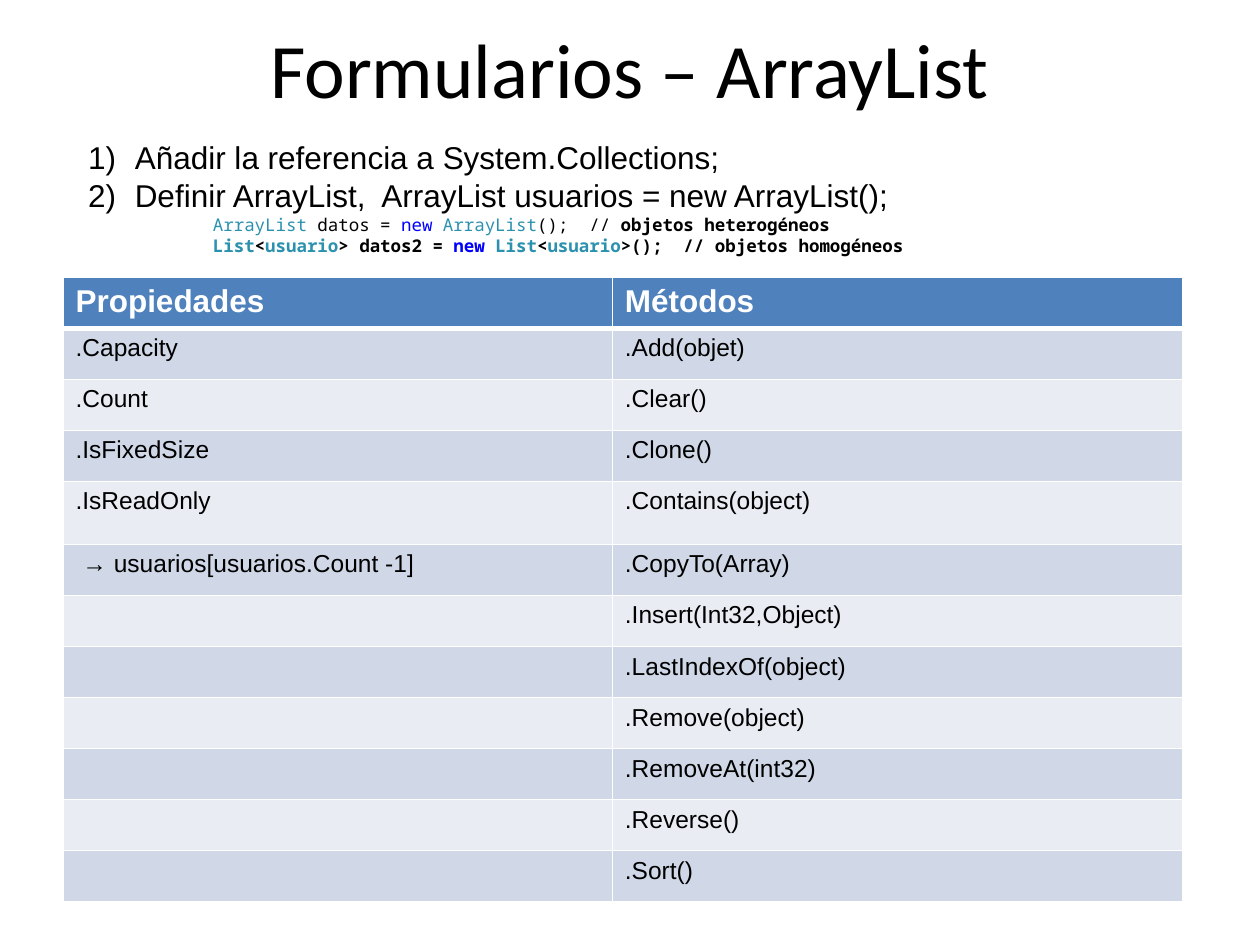
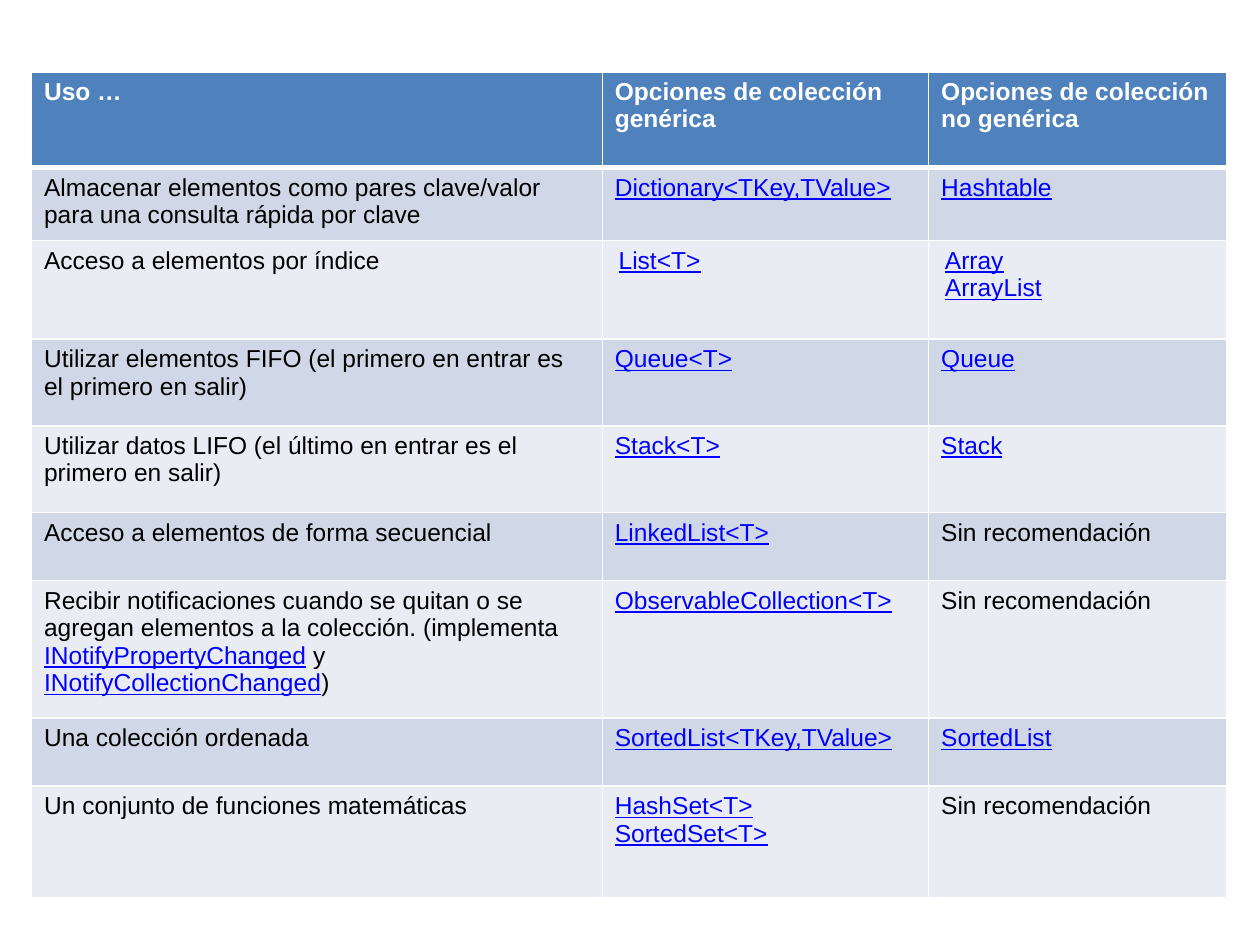
"""Builds two slides about ArrayList and the choice of collections."""
from dataclasses import dataclass
from typing import NamedTuple

from lxml import etree
from pptx import Presentation
from pptx.dml.color import RGBColor
from pptx.enum import text
from pptx.oxml import ns
from pptx.util import Inches, Pt

BLACK = RGBColor(0x00, 0x00, 0x00)
WHITE = RGBColor(0xFF, 0xFF, 0xFF)
HEADER_BLUE = RGBColor(0x4F, 0x81, 0xBD)
BAND_DARK = RGBColor(0xD0, 0xD8, 0xE7)
BAND_LIGHT = RGBColor(0xE9, 0xEC, 0xF3)
KEYWORD_BLUE = RGBColor(0x00, 0x00, 0xFF)
TYPE_TEAL = RGBColor(0x2B, 0x91, 0xAF)

BODY_FONT, TITLE_FONT, CODE_FONT = "Arial", "Calibri", "Noto Sans Mono"
THIN, THICK = Pt(0.96), Pt(3)


class Span(NamedTuple):
    """A piece of text with its own format values."""
    text: str
    fmt: dict = {}


def link(label: str) -> Span:
    """Return a span that looks like a link."""
    return Span(label, {"color": KEYWORD_BLUE, "underline": True})


def code(label: str, color: RGBColor = BLACK, bold: bool = False) -> Span:
    """Return a span of source code."""
    return Span(label, {"name": CODE_FONT, "size": Pt(10), "color": color, "bold": bold})


@dataclass
class Cell:
    """Lines of spans in a table cell, with its side margin."""
    lines: list
    margin: float = 0.1


@dataclass
class Grid:
    """Place, track sizes and contents of a banded table."""
    left: float
    top: float
    widths: list
    heights: list
    rows: list
    header_size: int


def add_spans(p, spans: list, base: dict) -> None:
    """Add spans to a paragraph over a base format."""
    for span in spans:
        span = Span(span) if isinstance(span, str) else span
        r = p.add_run()
        r.text = span.text
        for key, value in {**base, **span.fmt}.items():
            if key == "color":
                r.font.color.rgb = value
            else:
                setattr(r.font, key, value)


def add_text_frame(slide, left: float, top: float, width: float, height: float):
    """Add a wrapping text box without margins and return its frame."""
    sp = slide.shapes.add_textbox(*map(Inches, (left, top, width, height)))
    tf = sp.text_frame
    fmt = {"word_wrap": True, "margin_left": 0, "margin_top": 0,
           "margin_right": 0, "margin_bottom": 0}
    for key, value in fmt.items():
        setattr(tf, key, value)
    return tf


def set_indent(p, left: float, first: float = 0, numbered: bool = False) -> None:
    """Set paragraph indents and optional automatic numbering."""
    pPr = p._p.get_or_add_pPr()
    pPr.set("marL", str(Inches(left)))
    pPr.set("indent", str(Inches(first)))
    if numbered:
        etree.SubElement(pPr, ns.qn("a:buAutoNum"), type="arabicParenR")


def set_borders(cell, top: int, bottom: int) -> None:
    """Draw the white borders of a cell."""
    tcPr = cell._tc.get_or_add_tcPr()
    sides = {"lnL": THIN, "lnR": THIN, "lnT": top, "lnB": bottom}
    for side, width in sides.items():
        ln = etree.SubElement(tcPr, ns.qn(f"a:{side}"), w=str(width))
        fill = etree.SubElement(ln, ns.qn("a:solidFill"))
        etree.SubElement(fill, ns.qn("a:srgbClr"), val=str(WHITE))


def as_cell(content) -> Cell:
    """Return content as a cell of one line unless it is a cell already."""
    return content if isinstance(content, Cell) else Cell([[content]] if content else [])


def add_grid(slide, grid: Grid) -> None:
    """Draw a table with a header row and alternating bands."""
    frame = slide.shapes.add_table(
        len(grid.rows), len(grid.widths), Inches(grid.left), Inches(grid.top),
        Inches(sum(grid.widths)), Inches(sum(grid.heights)))
    table = frame.table
    for column, width in zip(table.columns, grid.widths):
        column.width = Inches(width)
    for row, height in zip(table.rows, grid.heights):
        row.height = Inches(height)
    for i, contents in enumerate(grid.rows):
        header = i == 0
        base = {"name": BODY_FONT, "size": Pt(grid.header_size if header else 14),
                "color": WHITE if header else BLACK, "bold": header}
        band = HEADER_BLUE if header else BAND_DARK if i % 2 else BAND_LIGHT
        for j, content in enumerate(contents):
            spec_cell, cell = as_cell(content), table.cell(i, j)
            set_borders(cell, THICK if i == 1 else THIN, THICK if header else THIN)
            cell.fill.solid()
            cell.fill.fore_color.rgb = band
            cell.margin_left = cell.margin_right = Inches(spec_cell.margin)
            tf = cell.text_frame
            for n, line in enumerate(spec_cell.lines):
                p = tf.add_paragraph() if n else tf.paragraphs[0]
                add_spans(p, line, base)


def add_title(slide, title: str) -> None:
    """Add the centred slide title."""
    p = add_text_frame(slide, 0.5, 0.17, 9, 0.75).paragraphs[0]
    p.alignment = text.PP_ALIGN.CENTER
    add_spans(p, [title], {"name": TITLE_FONT, "size": Pt(44), "color": BLACK})


STEPS = [
    "Añadir la referencia a System.Collections;",
    "Definir ArrayList,  ArrayList usuarios = new ArrayList();",
]
CODE_LINES = [
    [code("ArrayList", TYPE_TEAL), code(" datos = "), code("new ", KEYWORD_BLUE),
     code("ArrayList", TYPE_TEAL), code("();  // "), code("objetos heterogéneos", bold=True)],
    [code("List", TYPE_TEAL, True), code("<", bold=True), code("usuario", TYPE_TEAL, True),
     code("> datos2 = ", bold=True), code("new ", KEYWORD_BLUE, True),
     code("List", TYPE_TEAL, True), code("<", bold=True), code("usuario", TYPE_TEAL, True),
     code(">();  // objetos homogéneos", bold=True)],
]
MEMBERS = [
    ("Propiedades", "Métodos"),
    (".Capacity", ".Add(objet)"),
    (".Count", ".Clear()"),
    (".IsFixedSize", ".Clone()"),
    (".IsReadOnly", ".Contains(object)"),
    (Cell([[Span(" → ", {"italic": True}), "usuarios[usuarios.Count -1]"]]), ".CopyTo(Array)"),
    ("", ".Insert(Int32,Object)"),
    ("", ".LastIndexOf(object)"),
    ("", ".Remove(object)"),
    ("", ".RemoveAt(int32)"),
    ("", ".Reverse()"),
    ("", ".Sort()"),
]
NO_ADVICE = "Sin recomendación"
COLLECTIONS = [
    ("Uso …", "Opciones de colección genérica", "Opciones de colección no genérica"),
    ("Almacenar elementos como pares clave/valor para una consulta rápida por clave",
     link("Dictionary<TKey,TValue>"), link("Hashtable")),
    ("Acceso a elementos por índice", Cell([[link("List<T>")]], 0.13),
     Cell([[link("Array")], [link("ArrayList")]], 0.13)),
    ("Utilizar elementos FIFO (el primero en entrar es el primero en salir)",
     link("Queue<T>"), link("Queue")),
    ("Utilizar datos LIFO (el último en entrar es el primero en salir)",
     link("Stack<T>"), link("Stack")),
    ("Acceso a elementos de forma secuencial", link("LinkedList<T>"), NO_ADVICE),
    (Cell([["Recibir notificaciones cuando se quitan o se agregan elementos a la "
            "colección. (implementa ", link("INotifyPropertyChanged"), " y ",
            link("INotifyCollectionChanged"), ")"]]),
     link("ObservableCollection<T>"), NO_ADVICE),
    ("Una colección ordenada", link("SortedList<TKey,TValue>"), link("SortedList")),
    ("Un conjunto de funciones matemáticas",
     Cell([[link("HashSet<T>")], [link("SortedSet<T>")]]), NO_ADVICE),
]


def build_array_list(slide) -> None:
    """Draw the ArrayList slide."""
    add_title(slide, "Formularios – ArrayList")
    tf = add_text_frame(slide, 0.69, 1.09, 9, 1)
    for n, step in enumerate(STEPS):
        p = tf.add_paragraph() if n else tf.paragraphs[0]
        p.line_spacing = Pt(22)
        set_indent(p, 0.38, -0.37, numbered=True)
        add_spans(p, [step], {"name": BODY_FONT, "size": Pt(18), "color": BLACK})
    for line in CODE_LINES:
        p = tf.add_paragraph()
        set_indent(p, 1)
        add_spans(p, line, {})
    tall_row, total = 0.5, 4.96
    heights = [(total - tall_row) / (len(MEMBERS) - 1)] * len(MEMBERS)
    heights[4] = tall_row
    add_grid(slide, Grid(0.5, 2.2, [4.36, 4.53], heights, MEMBERS, 18))


def build_collections(slide) -> None:
    """Draw the slide that compares collections."""
    heights = [0.76, 0.58, 0.78, 0.69, 0.69, 0.54, 1.09, 0.54, 0.89]
    add_grid(slide, Grid(0.25, 0.57, [4.53, 2.59, 2.37], heights, COLLECTIONS, 14))


def main() -> None:
    """Build and save the presentation."""
    prs = Presentation()
    prs.slide_width, prs.slide_height = Inches(10), Inches(7.5)
    for build in (build_array_list, build_collections):
        build(prs.slides.add_slide(prs.slide_layouts[6]))
    prs.save("out.pptx")


if __name__ == "__main__":
    main()
